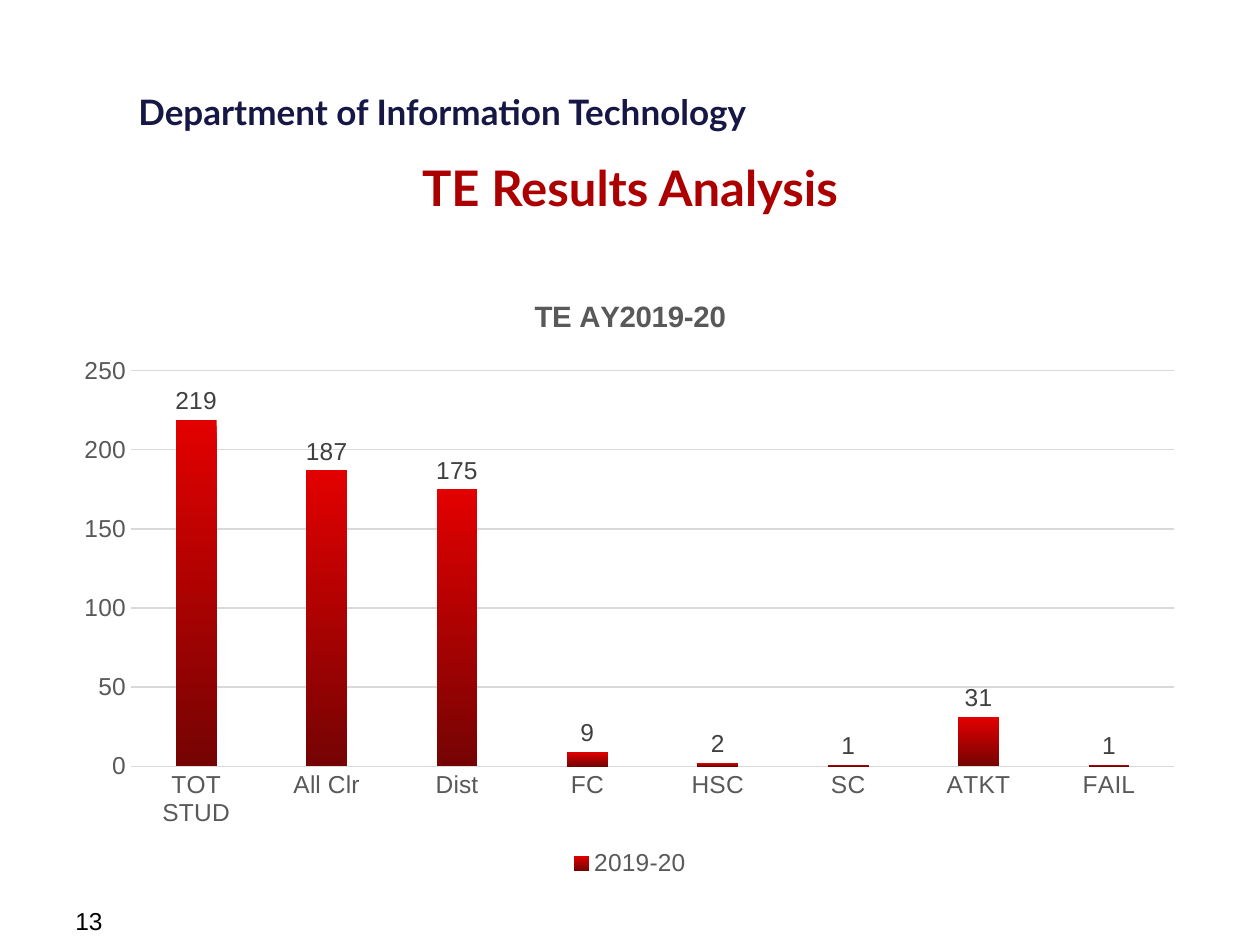
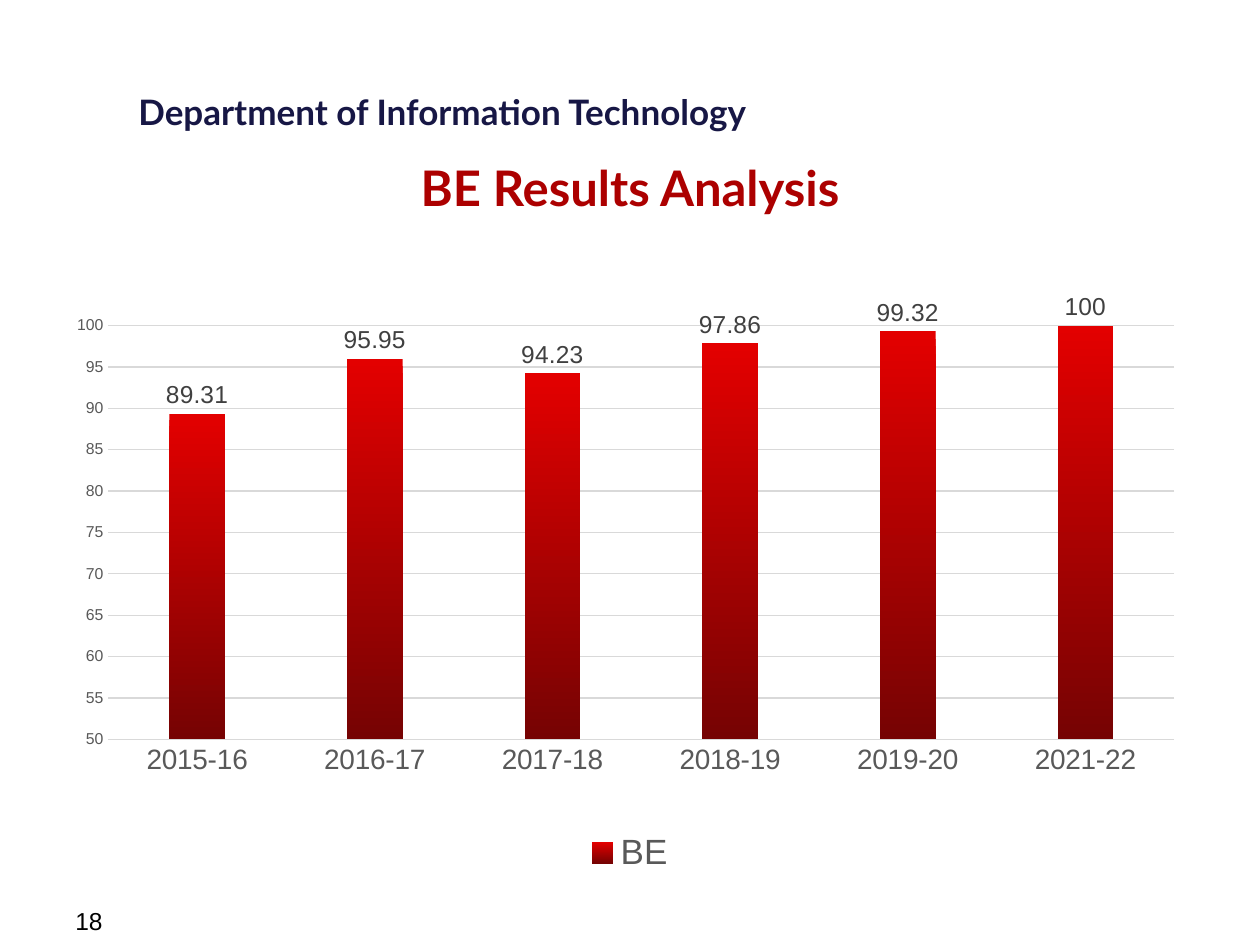
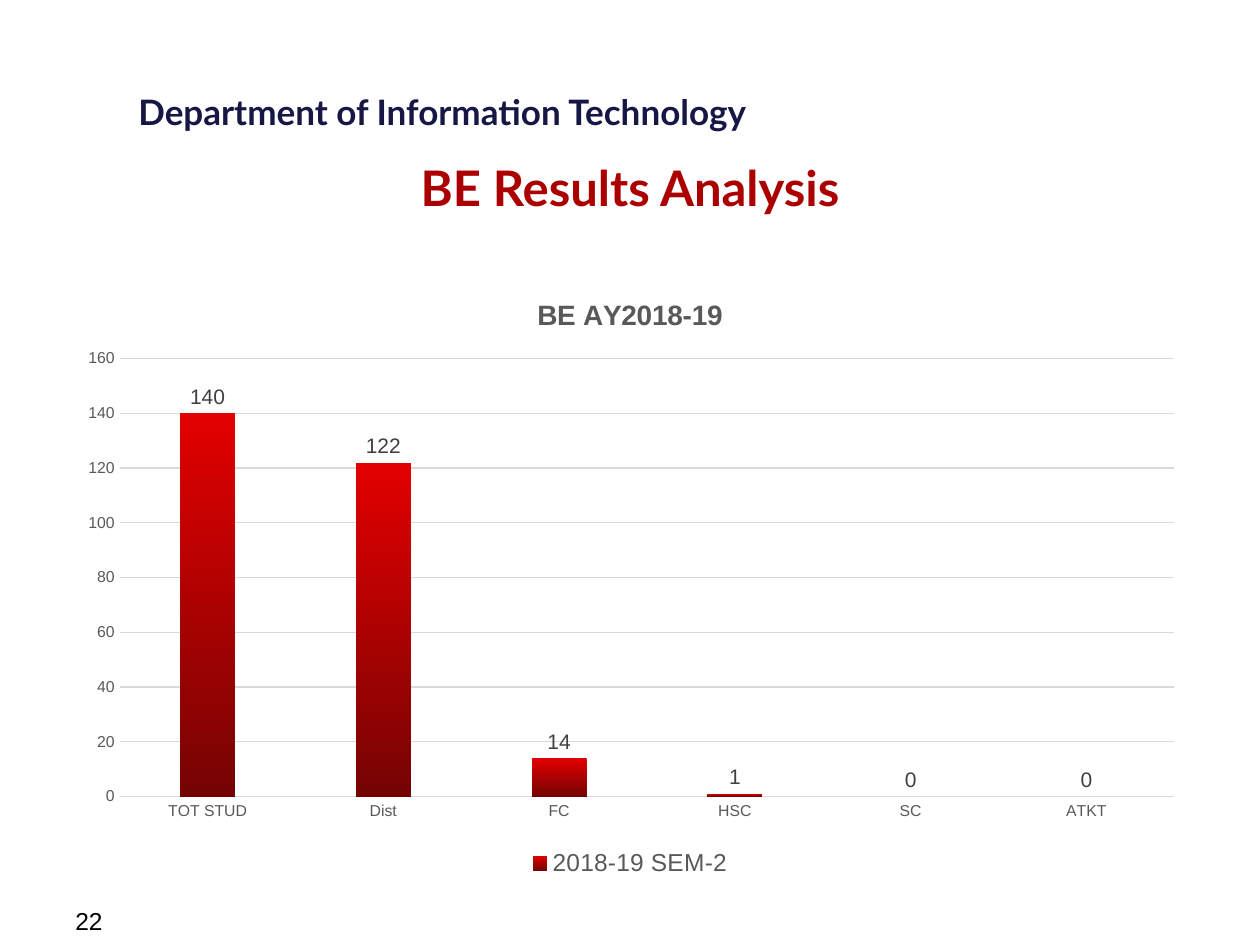
from dataclasses import dataclass
from typing import Optional

import pptx
import pptx.chart.data
import pptx.dml.color
import pptx.enum.chart
import pptx.enum.text
import pptx.oxml
import pptx.oxml.ns
import pptx.util
from pptx.util import Cm

RGBColor = pptx.dml.color.RGBColor

NAVY = RGBColor(0x17, 0x17, 0x45)
CRIMSON = RGBColor(0xAC, 0x00, 0x00)
BAR_TOP = RGBColor(0xE3, 0x00, 0x00)
BAR_BOTTOM = RGBColor(0x76, 0x03, 0x03)
BLACK = RGBColor(0x00, 0x00, 0x00)
LABEL_GRAY = RGBColor(0x40, 0x40, 0x40)
AXIS_GRAY = RGBColor(0x59, 0x59, 0x59)
GRID_GRAY = RGBColor(0xD9, 0xD9, 0xD9)

HEADING_FONT = "Lato"
BODY_FONT = "Arial"
DEPARTMENT = "Department of Information Technology"

MARGIN = Cm(1.27)
CONTENT_WIDTH = Cm(22.86)
CHART_HEIGHT = Cm(12.27)


@dataclass(frozen=True)
class PlotArea:
    """Inner plot area, as fractions of the chart."""
    x: float
    y: float
    w: float
    h: float


@dataclass(frozen=True)
class ResultSlide:
    title: str
    page: int
    series: str
    results: dict[str, float]
    plot_area: PlotArea
    category_size: float
    value_size: float
    label_size: float
    legend_size: float
    chart_top: float = 5.51
    chart_title: Optional[str] = None
    chart_title_size: float = 16
    value_range: Optional[tuple[float, float]] = None


RESULT_SLIDES = [
    ResultSlide(
        "TE Results Analysis", 13, "2019-20",
        {"TOT STUD": 219, "All Clr": 187, "Dist": 175, "FC": 9,
         "HSC": 2, "SC": 1, "ATKT": 31, "FAIL": 1},
        PlotArea(0.06, 0.16, 0.92, 0.65),
        category_size=14, value_size=14, label_size=14, legend_size=14,
        chart_title="TE AY2019-20", chart_title_size=16.8,
    ),
    ResultSlide(
        "BE Results Analysis", 18, "BE",
        {"2015-16": 89.31, "2016-17": 95.95, "2017-18": 94.23,
         "2018-19": 97.86, "2019-20": 99.32, "2021-22": 100},
        PlotArea(0.04, 0.09, 0.94, 0.68),
        category_size=16, value_size=9, label_size=14, legend_size=20,
        chart_top=5.46, value_range=(50, 100),
    ),
    ResultSlide(
        "BE Results Analysis", 22, "2018-19 SEM-2",
        {"TOT STUD": 140, "Dist": 122, "FC": 14, "HSC": 1, "SC": 0, "ATKT": 0},
        PlotArea(0.05, 0.14, 0.93, 0.72),
        category_size=9, value_size=9, label_size=12, legend_size=14,
        chart_title="BE AY2018-19",
    ),
]


def style_font(font, size: float, color: RGBColor,
               name: str = BODY_FONT, bold: bool = False) -> None:
    font.name = name
    font.size = pptx.util.Pt(size)
    font.bold = bold
    font.color.rgb = color


def style_line(line, color: RGBColor = GRID_GRAY) -> None:
    line.color.rgb = color
    line.width = pptx.util.Pt(0.75)


def add_text(slide, text: str, left: Cm, top: Cm, width: Cm, height: Cm):
    """Add a one-paragraph text box and return its font."""
    frame = slide.shapes.add_textbox(left, top, width, height).text_frame
    frame.word_wrap = True
    frame.text = text
    return frame.paragraphs[0].runs[0].font


def set_title(slide, text: str) -> None:
    title = slide.shapes.title
    title.left, title.top = MARGIN, Cm(3.05)
    title.width, title.height = CONTENT_WIDTH, Cm(1.22)
    frame = title.text_frame
    frame.text = text
    frame.auto_size = pptx.enum.text.MSO_AUTO_SIZE.NONE
    frame.vertical_anchor = pptx.enum.text.MSO_ANCHOR.TOP
    paragraph = frame.paragraphs[0]
    paragraph.alignment = pptx.enum.text.PP_ALIGN.CENTER
    style_font(paragraph.runs[0].font, 28, CRIMSON, HEADING_FONT, bold=True)


def place_plot_area(chart, area: PlotArea) -> None:
    plot_area = chart.element.xpath("c:chart/c:plotArea")[0]
    for layout in plot_area.xpath("c:layout"):
        plot_area.remove(layout)
    position = "".join(
        f'<c:{side} val="{getattr(area, side)}"/>' for side in "xywh")
    plot_area.insert(0, pptx.oxml.parse_xml(
        f'<c:layout {pptx.oxml.ns.nsdecls("c")}><c:manualLayout>'
        '<c:layoutTarget val="inner"/>'
        '<c:xMode val="edge"/><c:yMode val="edge"/>'
        f'{position}</c:manualLayout></c:layout>'))


def style_axes(chart, content: ResultSlide) -> None:
    categories, values = chart.category_axis, chart.value_axis
    for axis, size in ((categories, content.category_size),
                       (values, content.value_size)):
        axis.major_tick_mark = pptx.enum.chart.XL_TICK_MARK.NONE
        axis.minor_tick_mark = pptx.enum.chart.XL_TICK_MARK.NONE
        style_font(axis.tick_labels.font, size, AXIS_GRAY)
    style_line(categories.format.line)
    values.format.line.fill.background()
    values.has_major_gridlines = True
    style_line(values.major_gridlines.format.line)
    if content.value_range:
        values.minimum_scale, values.maximum_scale = content.value_range


def style_bars(plot, label_size: float) -> None:
    plot.gap_width = 219
    plot.overlap = -27
    plot.vary_by_categories = False
    fill = plot.series[0].format.fill
    fill.gradient()
    fill.gradient_angle = 270
    for stop, color, position in zip(
            fill.gradient_stops, (BAR_TOP, BAR_BOTTOM), (0, 1)):
        stop.color.rgb = color
        stop.position = position
    plot.has_data_labels = True
    labels = plot.data_labels
    labels.show_value = True
    labels.position = pptx.enum.chart.XL_LABEL_POSITION.OUTSIDE_END
    style_font(labels.font, label_size, LABEL_GRAY)


def add_results_chart(slide, content: ResultSlide) -> None:
    data = pptx.chart.data.CategoryChartData()
    data.categories = list(content.results)
    data.add_series(content.series, list(content.results.values()))
    chart = slide.shapes.add_chart(
        pptx.enum.chart.XL_CHART_TYPE.COLUMN_CLUSTERED,
        MARGIN, Cm(content.chart_top), CONTENT_WIDTH, CHART_HEIGHT, data).chart
    style_font(chart.font, content.value_size, BLACK)

    chart.has_title = content.chart_title is not None
    if content.chart_title:
        frame = chart.chart_title.text_frame
        frame.text = content.chart_title
        style_font(frame.paragraphs[0].runs[0].font,
                   content.chart_title_size, AXIS_GRAY, bold=True)
        chart.chart_title.include_in_layout = False

    chart.has_legend = True
    chart.legend.position = pptx.enum.chart.XL_LEGEND_POSITION.BOTTOM
    chart.legend.include_in_layout = False
    style_font(chart.legend.font, content.legend_size, AXIS_GRAY)

    style_axes(chart, content)
    style_bars(chart.plots[0], content.label_size)
    place_plot_area(chart, content.plot_area)


def add_result_slide(deck, content: ResultSlide) -> None:
    title_only = deck.slide_layouts[5]
    slide = deck.slides.add_slide(title_only)
    department = add_text(slide, DEPARTMENT,
                          Cm(2.54), Cm(1.7), Cm(13.59), Cm(1.12))
    style_font(department, 20, NAVY, HEADING_FONT, bold=True)
    set_title(slide, content.title)
    page = add_text(slide, str(content.page),
                    MARGIN, Cm(18.14), Cm(5.92), Cm(0.69))
    style_font(page, 14, BLACK)
    add_results_chart(slide, content)


def main() -> None:
    deck = pptx.Presentation()
    deck.slide_width, deck.slide_height = Cm(25.4), Cm(19.05)
    for content in RESULT_SLIDES:
        add_result_slide(deck, content)
    deck.save("out.pptx")


if __name__ == "__main__":
    main()
